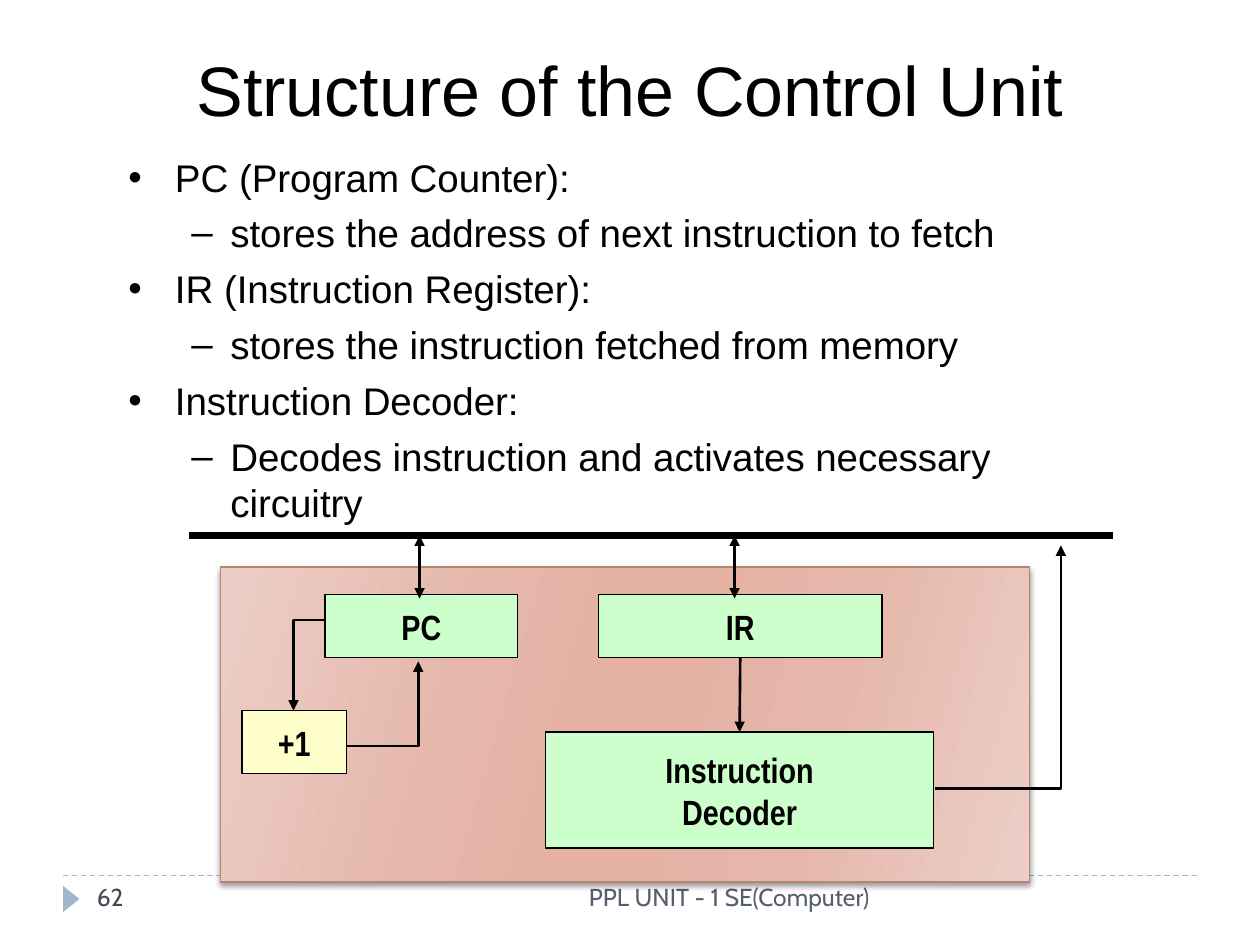
from lxml import etree
from pptx import Presentation
from pptx import util as u
from pptx.dml.color import RGBColor
from pptx.enum import dml, shapes, text
from pptx.oxml import parse_xml
from pptx.oxml.ns import nsdecls, qn

Inches, Pt = u.Inches, u.Pt
BLACK, GREEN, YELLOW, BLUE = "000000", "CCFFCC", "FFFFCC", "9FB8CD"
PANEL_STOPS = [(0, "ECCEC6"), (30, "E6B8AC"), (45, "E4B1A3"),
               (55, "E4B1A3"), (73, "E6B8AC"), (100, "ECCEC6")]
BULLETS = [
    (0, "PC (Program Counter):"),
    (1, "stores the address of next instruction to fetch"),
    (0, "IR (Instruction Register):"),
    (1, "stores the instruction fetched from memory"),
    (0, "Instruction Decoder:"),
    (1, "Decodes instruction and activates necessary circuitry"),
]
BULLET_STYLES = [("•", 0.37, -0.37), ("–", 0.81, -0.31)]


def color(value):
    return RGBColor.from_string(value)


def add_run(paragraph, words, size, font, ink=BLACK, bold=False):
    run = paragraph.add_run()
    run.text = words
    run.font.size, run.font.name, run.font.bold = Pt(size), font, bold
    run.font.color.rgb = color(ink)


def add_text(slide, box, words, size, font, ink=BLACK,
             align=text.PP_ALIGN.LEFT, anchor=text.MSO_ANCHOR.TOP):
    frame = slide.shapes.add_textbox(*map(Inches, box)).text_frame
    frame.word_wrap = True
    frame.vertical_anchor = anchor
    frame.paragraphs[0].alignment = align
    add_run(frame.paragraphs[0], words, size, font, ink)


def add_shape(slide, kind, box, fill, line=None):
    shape = slide.shapes.add_shape(kind, *map(Inches, box))
    shape.shadow.inherit = False
    if fill:
        shape.fill.solid()
        shape.fill.fore_color.rgb = color(fill)
    if line:
        shape.line.color.rgb = color(line)
        shape.line.width = Pt(0.75)
    else:
        shape.line.fill.background()
    return shape


def add_line(slide, start, end, width=1.5, ink=BLACK, arrows=(), elbow=False):
    """Draw a line; arrows names its ends (headEnd, tailEnd); an elbow runs across first."""
    line = slide.shapes.add_connector(
        shapes.MSO_CONNECTOR.ELBOW if elbow else shapes.MSO_CONNECTOR.STRAIGHT,
        *map(Inches, (*start, *end)))
    line.line.width = Pt(width)
    line.line.color.rgb = color(ink)
    properties = line._element.spPr
    if elbow:
        properties.find(qn("a:prstGeom")).set("prst", "bentConnector2")
    for arrow in arrows:
        etree.SubElement(properties.find(qn("a:ln")), qn(f"a:{arrow}"), type="triangle")
    etree.SubElement(properties, qn("a:effectLst"))
    return line


def add_bullets(slide, box):
    frame = slide.shapes.add_textbox(*map(Inches, box)).text_frame
    frame.word_wrap = True
    for index, (level, words) in enumerate(BULLETS):
        paragraph = frame.add_paragraph() if index else frame.paragraphs[0]
        paragraph.level = level
        paragraph.space_before = Pt(5.5 if index else 0)
        mark, margin, indent = BULLET_STYLES[level]
        properties = paragraph._p.get_or_add_pPr()
        properties.set("marL", str(Inches(margin)))
        properties.set("indent", str(Inches(indent)))
        etree.SubElement(properties, qn("a:buFont"), typeface="Arial")
        etree.SubElement(properties, qn("a:buChar"), char=mark)
        add_run(paragraph, words, 22, "Arial")


def add_panel(slide, box):
    """Draw the shaded backdrop with its gradient and soft shadow."""
    panel = add_shape(slide, shapes.MSO_SHAPE.RECTANGLE, box, None, "B88472")
    panel.fill.gradient()
    gradient = panel._element.spPr.find(qn("a:gradFill"))
    stops = "".join(f'<a:gs pos="{position * 1000}"><a:srgbClr val="{value}"/></a:gs>'
                    for position, value in PANEL_STOPS)
    gradient.replace(gradient.find(qn("a:gsLst")),
                     parse_xml(f'<a:gsLst {nsdecls("a")}>{stops}</a:gsLst>'))
    gradient.find(qn("a:lin")).set("ang", str(16 * 60000))
    panel._element.spPr.find(qn("a:effectLst")).append(parse_xml(
        f'<a:outerShdw {nsdecls("a")} blurRad="{Pt(3)}" dist="{Pt(2)}" dir="5400000" '
        'rotWithShape="0"><a:srgbClr val="000000"><a:alpha val="40000"/></a:srgbClr>'
        '</a:outerShdw>'))


def add_unit(slide, box, lines, fill=GREEN):
    unit = add_shape(slide, shapes.MSO_SHAPE.RECTANGLE, box, fill, BLACK)
    frame = unit.text_frame
    frame.word_wrap = False
    frame.vertical_anchor = text.MSO_ANCHOR.MIDDLE
    for index, words in enumerate(lines):
        paragraph = frame.add_paragraph() if index else frame.paragraphs[0]
        paragraph.alignment = text.PP_ALIGN.CENTER
        add_run(paragraph, words, 20, "Arial Narrow", bold=True)
    return unit


def add_control_unit(slide, box):
    left, top, width, height = box

    def at(x, y, *size):
        return (left + x, top + y, *size)

    add_panel(slide, box)
    add_line(slide, at(-0.25, -0.25), at(7.08, -0.25), 4)
    decoder = add_unit(slide, at(2.58, 1.31, 3.08, 0.92), ["Instruction", "Decoder"])
    register = add_unit(slide, at(3, 0.22, 2.25, 0.5), ["IR"])
    add_unit(slide, at(0.17, 1.14, 0.83, 0.5), ["+1"], YELLOW)
    add_unit(slide, at(0.83, 0.22, 1.53, 0.5), ["PC"])

    for start, end in [((0.83, 0.42), (0.58, 1.14)),
                       ((1, 1.42), (1.57, 0.75)),
                       ((5.67, 1.76), (6.67, -0.17))]:
        add_line(slide, at(*start), at(*end), arrows=["tailEnd"], elbow=True)
    decode = add_line(slide, at(4.12, 0.72), at(4.12, 1.31), arrows=["tailEnd"])
    decode.begin_connect(register, 2)
    decode.end_connect(decoder, 0)
    for x in (1.58, 4.08):
        add_line(slide, at(x, 0.25), at(x, -0.25), arrows=["headEnd", "tailEnd"])


def add_footer(slide, box):
    left, top, width, height = box
    rule = add_line(slide, (left, top), (left + width, top), 0.75, BLUE)
    rule.line.dash_style = dml.MSO_LINE.DASH
    marker = add_shape(slide, shapes.MSO_SHAPE.ISOSCELES_TRIANGLE,
                       (left - 0.04, top + 0.12, 0.21, 0.13), BLUE)
    marker.rotation = 90
    add_text(slide, (left + 0.17, top, 2.17, height), "62", 14, "Cabin", "464653")
    add_text(slide, (left + 2.67, top, 3.83, height), "PPL UNIT - 1 SE(Computer)",
             14, "Cabin", "575F6D", text.PP_ALIGN.RIGHT)


def main():
    presentation = Presentation()
    presentation.slide_width, presentation.slide_height = Inches(10), Inches(7.5)
    slide = presentation.slides.add_slide(presentation.slide_layouts[6])
    add_footer(slide, (0.5, 6.95, 9, 0.4))
    add_text(slide, (0.75, 0.32, 8.5, 0.77), "Structure of the Control Unit", 40, "Arial",
             align=text.PP_ALIGN.CENTER, anchor=text.MSO_ANCHOR.MIDDLE)
    add_bullets(slide, (0.92, 1.17, 7.92, 3.05))
    add_control_unit(slide, (1.75, 4.5, 6.42, 2.5))
    presentation.save("out.pptx")


if __name__ == "__main__":
    main()
